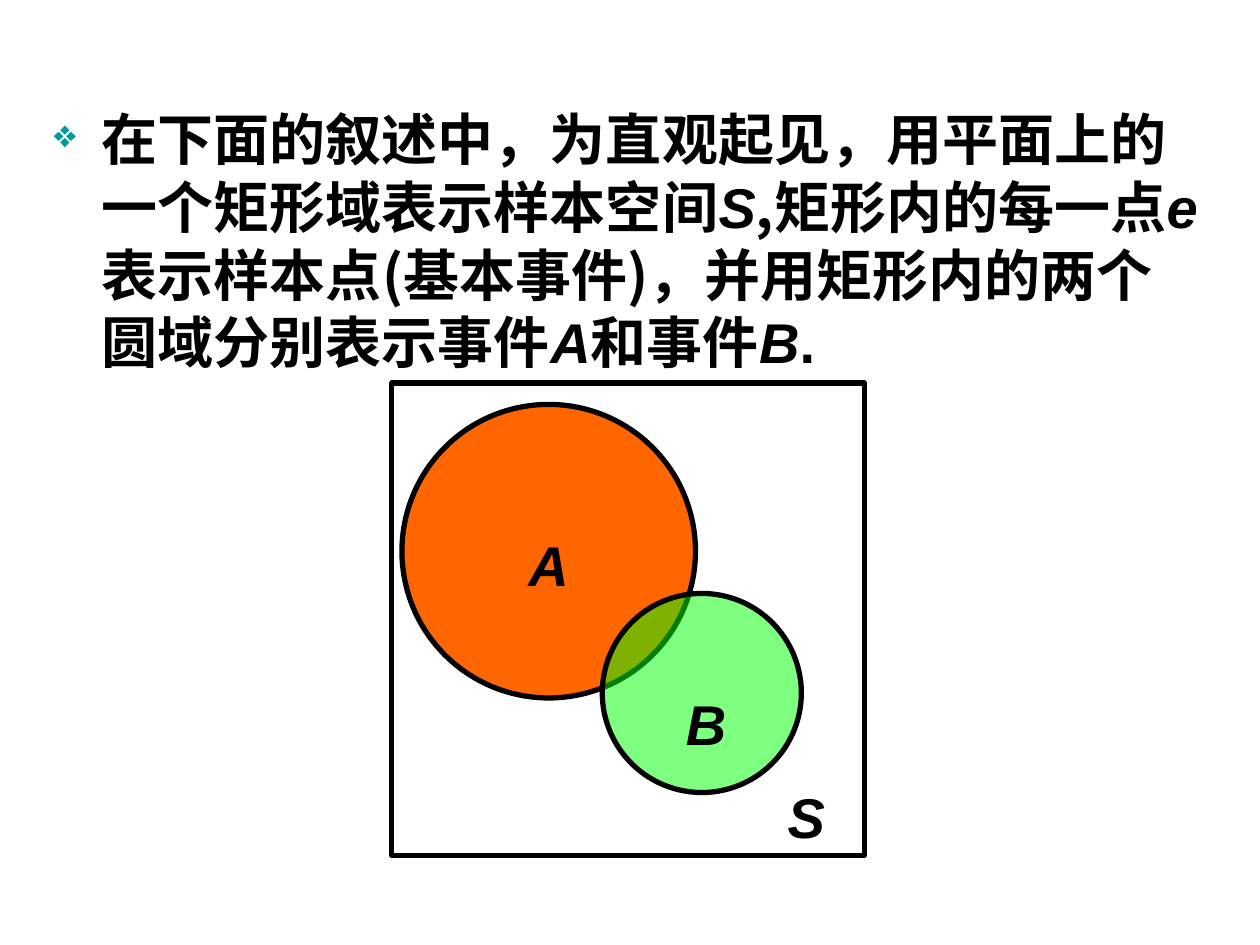
from lxml import etree
from pptx import Presentation
from pptx.dml.color import RGBColor
from pptx.enum.shapes import MSO_SHAPE as SHAPE
from pptx.enum.text import PP_ALIGN as ALIGN
from pptx.oxml.ns import qn
from pptx.util import Inches, Pt

BLACK = RGBColor(0x00, 0x00, 0x00)
WHITE = RGBColor(0xFF, 0xFF, 0xFF)
ORANGE = RGBColor(0xFF, 0x66, 0x00)
GREEN = RGBColor(0x00, 0xFF, 0x00)
TEAL = RGBColor(0x00, 0x99, 0x99)
LATIN, CJK = "Arial", "Noto Sans CJK SC"


def add_run(p, text, font, italic):
    r = p.add_run()
    r.text = text
    style = {"name": font, "size": Pt(32), "bold": True, "italic": italic}
    for key, value in style.items():
        setattr(r.font, key, value)
    r.font.color.rgb = BLACK
    etree.SubElement(r.font._element, qn("a:ea"), typeface=CJK)


def add_text(shapes, x, y, w, h, top):
    tf = shapes.add_textbox(Inches(x), Inches(y), Inches(w), Inches(h)).text_frame
    tf.word_wrap = True
    tf.margin_top = Inches(top)
    return tf.paragraphs[0]


prs = Presentation()
prs.slide_width, prs.slide_height = Inches(10), Inches(7.5)
s = prs.slides.add_slide(prs.slide_layouts[6])

# Bulleted explanation, with event names in italic
p = add_text(s.shapes, 0.33, 0.75, 9.34, 2.21, 0.08)
p.line_spacing = Pt(38.6)
pPr = p._p.get_or_add_pPr()
pPr.set("marL", str(Inches(0.38)))
pPr.set("indent", str(Inches(-0.38)))
color = etree.SubElement(pPr, qn("a:buClr"))
etree.SubElement(color, qn("a:srgbClr"), val=str(TEAL))
etree.SubElement(pPr, qn("a:buSzPct"), val="70000")
etree.SubElement(pPr, qn("a:buChar"), char="❖")
for text, font, italic in [
    ("在下面的叙述中，为直观起见，用平面上的一个矩形域表示样本空间", CJK, False),
    ("S", LATIN, True),
    (",矩形内的每一点", CJK, False),
    ("e", LATIN, True),
    ("表示样本点(基本事件)，并用矩形内的两个圆域分别表示事件", CJK, False),
    ("A", LATIN, True),
    ("和事件", CJK, False),
    ("B", LATIN, True),
    (".", LATIN, False),
]:
    add_run(p, text, font, italic)

# Venn diagram: each region with its label, from back to front
venn = s.shapes.add_group_shape().shapes
for kind, x, y, size, fill, alpha, name, label_x, label_y, label_w in [
    (SHAPE.RECTANGLE, 3.11, 3.04, 3.75, WHITE, None, "S", 6.11, 6.12, 0.58),
    (SHAPE.OVAL, 3.19, 3.21, 2.33, ORANGE, None, "A", 3.94, 4.12, 0.83),
    (SHAPE.OVAL, 4.78, 4.71, 1.58, GREEN, 50, "B", 5.19, 5.38, 0.83),
]:
    sp = venn.add_shape(kind, Inches(x), Inches(y), Inches(size), Inches(size))
    sp.shadow.inherit = False
    sp.fill.solid()
    sp.fill.fore_color.rgb = fill
    sp.line.color.rgb = BLACK
    sp.line.width = Pt(3)
    if alpha:
        rgb = sp._element.spPr.find(qn("a:solidFill")).find(qn("a:srgbClr"))
        etree.SubElement(rgb, qn("a:alpha"), val=str(alpha * 1000))
    p = add_text(venn, label_x, label_y, label_w, 0.63, 0.09)
    p.alignment = ALIGN.CENTER
    add_run(p, name, LATIN, True)

prs.save("out.pptx")
